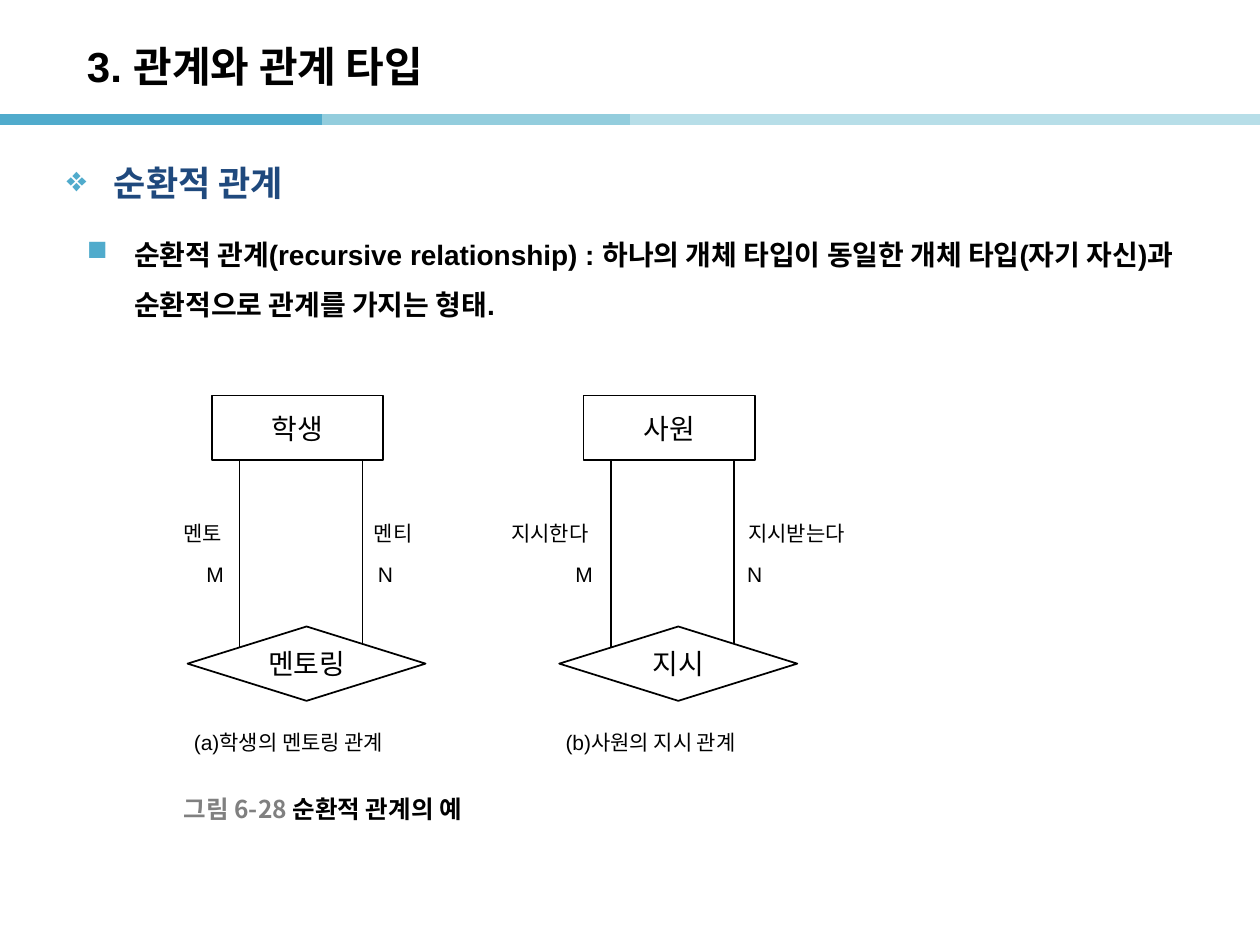
from dataclasses import dataclass

import pptx
import pptx.dml.color
import pptx.enum.shapes
import pptx.enum.text
import pptx.oxml
import pptx.oxml.ns
import pptx.util

Pt = pptx.util.Pt
RGB = pptx.dml.color.RGBColor
Align = pptx.enum.text.PP_ALIGN
Anchor = pptx.enum.text.MSO_ANCHOR
AutoSize = pptx.enum.text.MSO_AUTO_SIZE
Shape = pptx.enum.shapes.MSO_SHAPE


@dataclass(frozen=True)
class Theme:
    latin: str = "Arial"
    korean: str = "Noto Sans CJK KR"
    ink: str = "000000"
    paper: str = "FFFFFF"
    heading: str = "1F497D"
    muted: str = "808080"
    accent: str = "50ABCC"
    accent_mid: str = "93CDDD"
    accent_light: str = "B7DEE8"
    title_size: int = 24
    heading_size: int = 20
    body_size: int = 16
    figure_size: int = 14
    label_size: int = 12


@dataclass(frozen=True)
class Box:
    left: float
    top: float
    width: float
    height: float

    def lengths(self):
        return Pt(self.left), Pt(self.top), Pt(self.width), Pt(self.height)


@dataclass(frozen=True)
class Label:
    text: str
    box: Box


@dataclass(frozen=True)
class Bar:
    start: float
    end: float
    color: str


@dataclass(frozen=True)
class Relation:
    left: float
    entity: str
    relationship: str
    labels: tuple[Label, ...]


THEME = Theme()
BARS = (
    Bar(0, 184.3, THEME.accent),
    Bar(184.3, 368.6, THEME.accent_mid),
    Bar(360, 544.3, THEME.accent_light),
    Bar(537, 720, THEME.accent_light),
)
ROLE_TOP, DEGREE_TOP, CAPTION_TOP, LABEL_HEIGHT = 293.8, 317.2, 413.3, 21.6
RELATIONS = (
    Relation(121, "학생", "멘토링", (
        Label("멘토", Box(97.9, ROLE_TOP, 38.9, LABEL_HEIGHT)),
        Label("멘티", Box(206.6, ROLE_TOP, 38.9, LABEL_HEIGHT)),
        Label("M", Box(110.9, DEGREE_TOP, 25.9, LABEL_HEIGHT)),
        Label("N", Box(208.8, DEGREE_TOP, 23.8, LABEL_HEIGHT)),
        Label("(a)학생의 멘토링 관계", Box(103.7, CAPTION_TOP, 133.9, LABEL_HEIGHT)),
    )),
    Relation(333.4, "사원", "지시", (
        Label("지시한다", Box(285.1, ROLE_TOP, 63.4, LABEL_HEIGHT)),
        Label("지시받는다", Box(420.5, ROLE_TOP, 74.9, LABEL_HEIGHT)),
        Label("M", Box(321.8, DEGREE_TOP, 25.9, LABEL_HEIGHT)),
        Label("N", Box(419.8, DEGREE_TOP, 23.8, LABEL_HEIGHT)),
        Label("(b)사원의 지시 관계", Box(316.1, CAPTION_TOP, 122.4, LABEL_HEIGHT)),
    )),
)


def write(paragraph, text: str, *, size: float, color: str = THEME.ink,
          bold: bool = False, latin: str = THEME.latin, align=Align.LEFT) -> None:
    paragraph.alignment = align
    run = paragraph.add_run()
    run.text = text
    run.font.size = Pt(size)
    run.font.bold = bold
    run.font.color.rgb = RGB.from_string(color)
    run.font.name = latin
    pptx.oxml.ns.qn("a:ea")
    east_asian = pptx.oxml.parse_xml(
        f'<a:ea {pptx.oxml.ns.nsdecls("a")} typeface="{THEME.korean}"/>')
    run.font._element.append(east_asian)


def add_text_box(slide, box: Box, *, wrap: bool = False, grow: bool = False,
                 anchor=Anchor.TOP):
    frame = slide.shapes.add_textbox(*box.lengths()).text_frame
    frame.word_wrap = wrap
    frame.auto_size = AutoSize.SHAPE_TO_FIT_TEXT if grow else AutoSize.NONE
    frame.vertical_anchor = anchor
    return frame.paragraphs[0]


def add_bullet(slide, box: Box, mark: str, text: str, *, size: float,
               color: str, align=Align.LEFT) -> None:
    paragraph = add_text_box(slide, box, wrap=True)
    paragraph.line_spacing = 1.5
    properties = paragraph._p.get_or_add_pPr()
    indent = Pt(27)
    properties.set("marL", str(indent))
    properties.set("indent", str(-indent))
    namespace = pptx.oxml.ns.nsdecls("a")
    for xml in (
        f'<a:buClr {namespace}><a:srgbClr val="{THEME.accent}"/></a:buClr>',
        f'<a:buChar {namespace} char="{mark}"/>',
    ):
        properties.append(pptx.oxml.parse_xml(xml))
    write(paragraph, text, size=size, color=color, bold=True, align=align)


def add_line(slide, start: tuple[float, float], end: tuple[float, float], *,
             color: str = THEME.ink, width: float = 1) -> None:
    line = slide.shapes.add_connector(
        pptx.enum.shapes.MSO_CONNECTOR.STRAIGHT, *map(Pt, start + end))
    line.line.color.rgb = RGB.from_string(color)
    line.line.width = Pt(width)
    line._element.spPr.append(
        pptx.oxml.parse_xml(f'<a:effectLst {pptx.oxml.ns.nsdecls("a")}/>'))


def add_node(slide, kind, box: Box, text: str, side_inset: float = 7.2) -> None:
    node = slide.shapes.add_shape(kind, *box.lengths())
    node.shadow.inherit = False
    node.fill.solid()
    node.fill.fore_color.rgb = RGB.from_string(THEME.paper)
    node.line.color.rgb = RGB.from_string(THEME.ink)
    node.line.width = Pt(1)
    frame = node.text_frame
    frame.margin_left = frame.margin_right = Pt(side_inset)
    frame.vertical_anchor = Anchor.MIDDLE
    write(frame.paragraphs[0], text, size=THEME.body_size,
          latin=THEME.korean, align=Align.CENTER)


def add_relation(slide, relation: Relation) -> None:
    left = relation.left
    add_node(slide, Shape.RECTANGLE, Box(left, 226, 98, 37), relation.entity)
    for offset in (15.8, 86.2):
        add_line(slide, (left + offset, 263), (left + offset, 370))
    add_node(slide, Shape.FLOWCHART_DECISION, Box(left - 13.8, 358, 136, 42.5),
             relation.relationship, side_inset=2.9)
    for label in relation.labels:
        write(add_text_box(slide, label.box, grow=True), label.text,
              size=THEME.label_size)


def add_title(slide, text: str) -> None:
    title = slide.shapes.title
    title.left, title.top, title.width, title.height = Box(42.5, 15.8, 595.4, 43.2).lengths()
    title.text_frame.auto_size = AutoSize.NONE
    title.text_frame.vertical_anchor = Anchor.MIDDLE
    write(title.text_frame.paragraphs[0], text, size=THEME.title_size, bold=True)


def main() -> None:
    presentation = pptx.Presentation()
    presentation.slide_width, presentation.slide_height = Pt(720), Pt(540)
    slide = presentation.slides.add_slide(presentation.slide_layouts[5])

    for bar in BARS:
        add_line(slide, (bar.start, 68.4), (bar.end, 68.4), color=bar.color, width=6)
    add_title(slide, "3. 관계와 관계 타입")
    add_bullet(slide, Box(42.5, 122.4, 635, 402.5), "■",
               "순환적 관계(recursive relationship) : 하나의 개체 타입이 동일한 "
               "개체 타입(자기 자신)과 순환적으로 관계를 가지는 형태.",
               size=THEME.body_size, color=THEME.ink)
    for relation in RELATIONS:
        add_relation(slide, relation)

    figure = add_text_box(slide, Box(97.9, 450.7, 147.6, 22.3), anchor=Anchor.MIDDLE)
    for text, color in (("그림 6-28 ", THEME.muted), ("순환적 관계의 예", THEME.ink)):
        write(figure, text, size=THEME.figure_size, color=color, bold=True,
              latin=THEME.korean)
    add_bullet(slide, Box(31, 77, 635, 38.2), "❖", "순환적 관계",
               size=THEME.heading_size, color=THEME.heading, align=Align.JUSTIFY)

    presentation.save("out.pptx")


if __name__ == "__main__":
    main()
